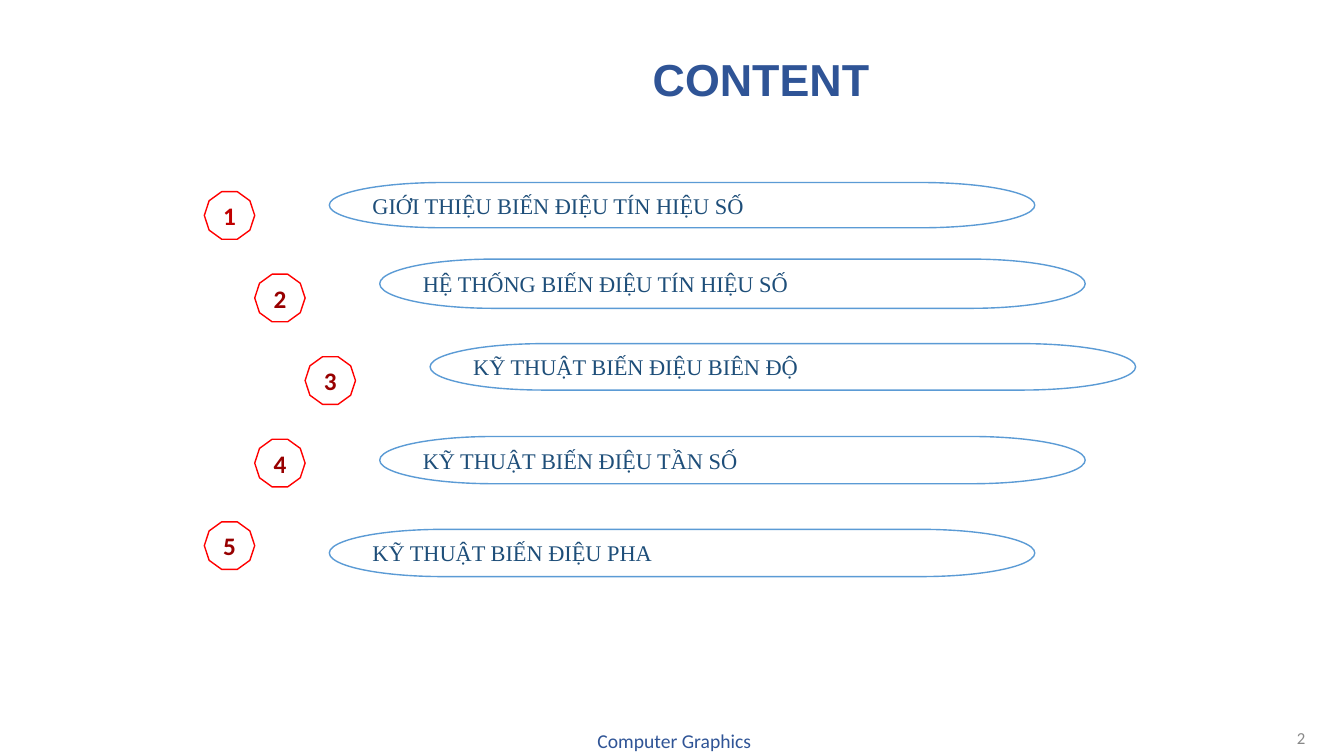
from pptx import Presentation
from pptx.dml.color import RGBColor
from pptx.enum import shapes, text
from pptx.util import Cm, Pt

NAVY = RGBColor(0x2F, 0x54, 0x96)
GRAY = RGBColor(0x88, 0x88, 0x88)
WHITE = RGBColor(0xFF, 0xFF, 0xFF)
RED = RGBColor(0xFF, 0x00, 0x00)
CRIMSON = RGBColor(0xC0, 0x00, 0x00)
MAROON = RGBColor(0x98, 0x00, 0x00)
BLUE = RGBColor(0x5B, 0x9B, 0xD5)
INK = RGBColor(0x1E, 0x4E, 0x79)
LEFT, MID, RIGHT = text.PP_ALIGN.LEFT, text.PP_ALIGN.CENTER, text.PP_ALIGN.RIGHT


def write(shape, words, size, face, color, align, bold=False):
    frame = shape.text_frame
    frame.word_wrap = True
    frame.vertical_anchor = text.MSO_ANCHOR.MIDDLE
    para = frame.paragraphs[0]
    para.text = words
    para.alignment = align
    font = para.font
    font.size, font.name, font.bold = Pt(size), face, bold
    font.color.rgb = color
    return para


def draw(kind, left, top, width, height, edge):
    shape = slide.shapes.add_shape(kind, Cm(left), Cm(top), Cm(width), Cm(height))
    shape.shadow.inherit = False
    shape.fill.solid()
    shape.fill.fore_color.rgb = WHITE
    shape.line.color.rgb = edge
    shape.line.width = Pt(1)
    return shape


deck = Presentation()
deck.slide_width, deck.slide_height = Cm(33.87), Cm(19.05)
slide = deck.slides.add_slide(deck.slide_layouts[6])

# Footer, title and page number
box = slide.shapes.add_textbox(Cm(10.34), Cm(18.24), Cm(13.31), Cm(0.86))
write(box, "Computer Graphics", 14, "Calibri", NAVY, MID)
box = slide.shapes.add_textbox(Cm(6.05), Cm(1.02), Cm(26.26), Cm(2.08))
write(box, "CONTENT", 32, "Arial", NAVY, MID, True).line_spacing = 0.9
box = slide.shapes.add_textbox(Cm(25.53), Cm(18.14), Cm(7.62), Cm(0.91))
write(box, "2", 12, "Calibri", GRAY, RIGHT)

# Topics: indent level, bar top, bar height, wording
topics = [
    (0, 4.6, 1.14, "GIỚI THIỆU BIẾN ĐIỆU TÍN HIỆU SỐ"),
    (1, 6.53, 1.24, "HỆ THỐNG BIẾN ĐIỆU TÍN HIỆU SỐ"),
    (2, 8.66, 1.17, "KỸ THUẬT BIẾN ĐIỆU BIÊN ĐỘ"),
    (1, 11.0, 1.19, "KỸ THUẬT BIẾN ĐIỆU TẦN SỐ"),
    (0, 13.34, 1.19, "KỸ THUẬT BIẾN ĐIỆU PHA"),
]
for row, (level, top, height, words) in enumerate(topics):
    shift = 1.27 * level
    badge = draw(shapes.MSO_SHAPE.DECAGON, 5.15 + shift, 4.83 + 2.08 * row, 1.27, 1.2, RED)
    write(badge, str(row + 1), 18, "Calibri", MAROON if row else CRIMSON, MID, True)
    bar = draw(shapes.MSO_SHAPE.FLOWCHART_TERMINATOR, 8.3 + shift, top, 17.78, height, BLUE)
    write(bar, words, 16, "Times New Roman", INK, LEFT)

deck.save("out.pptx")
